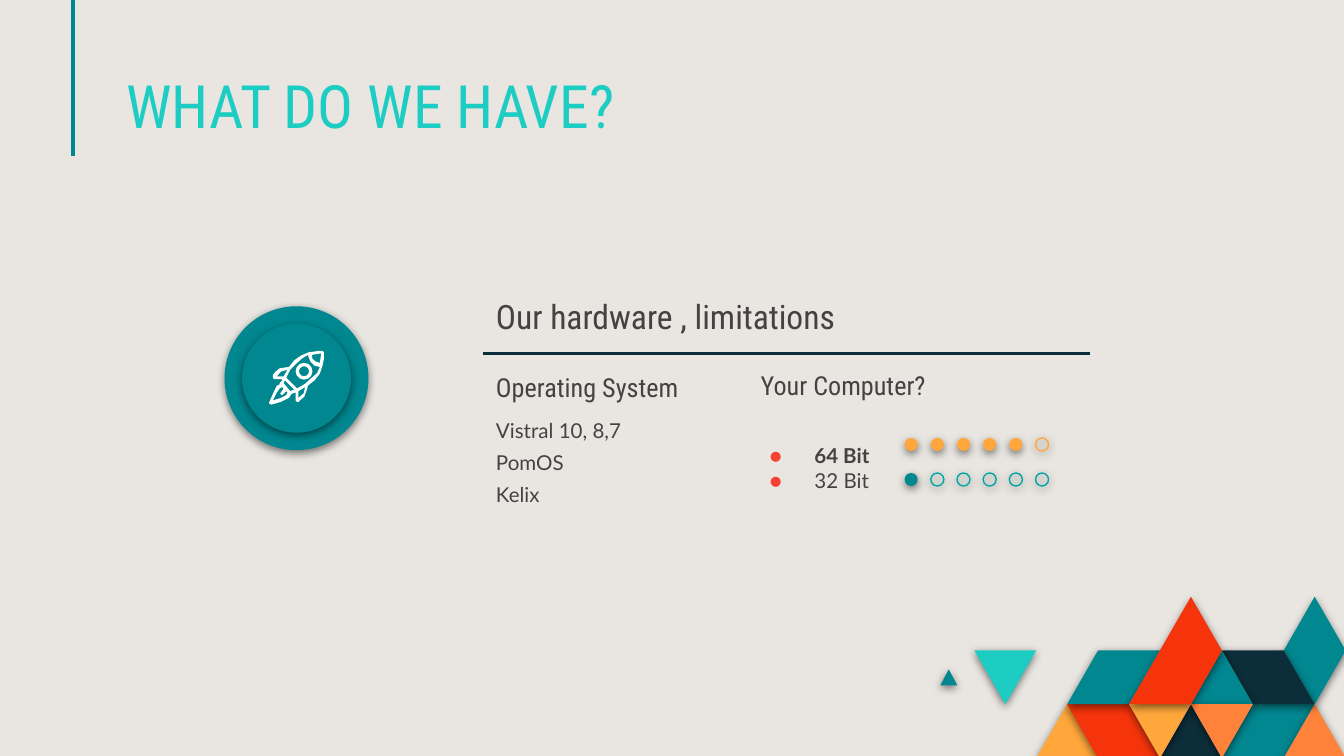
from lxml import etree
from pptx import Presentation
from pptx.dml.color import RGBColor
from pptx.enum.shapes import MSO_CONNECTOR, MSO_SHAPE
from pptx.enum.text import MSO_ANCHOR
from pptx.oxml.ns import qn
from pptx.util import Pt

STRAIGHT = MSO_CONNECTOR.STRAIGHT
OVAL, DONUT = MSO_SHAPE.OVAL, MSO_SHAPE.DONUT
TOP, MIDDLE, BOTTOM = MSO_ANCHOR.TOP, MSO_ANCHOR.MIDDLE, MSO_ANCHOR.BOTTOM
HEADING, BODY = "Roboto Condensed", "Lato"
COLORS = {
    "background": "E9E6E1", "teal": "018790", "turquoise": "1DCDC3",
    "sea": "00A6A6", "amber": "FFA73B", "orange": "FF823B",
    "red": "F5340B", "navy": "0C2E3A", "text": "434343",
    "bullet": "F54132", "white": "FFFFFF", "black": "000000",
}
MOSAIC = [
    ("amber", [(2, 3), (3, 2), (4, 3)]),
    ("red", [(3, 2), (5, 2), (6, 3), (4, 3)]),
    ("teal", [(8, 3), (9, 2), (11, 2), (10, 3)]),
    ("orange", [(10, 3), (11, 2), (12, 3)]),
    ("navy", [(6, 3), (7, 2), (8, 3)]),
    ("teal", [(3, 2), (4, 1), (6, 1), (5, 2)]),
    ("teal", [(-1.1, 1.65), (-0.83, 1.35), (-0.55, 1.65)]),
    ("turquoise", [(0, 1), (2, 1), (1, 2)]),
    ("teal", [(10, 1), (11, 0), (12, 1), (11, 2)]),
    ("navy", [(8, 1), (10, 1), (11, 2), (9, 2)]),
    ("teal", [(7, 2), (8, 1), (9, 2)]),
    ("orange", [(7, 2), (9, 2), (8, 3)]),
    ("amber", [(5, 2), (7, 2), (6, 3)]),
    ("red", [(5, 2), (7, 0), (8, 1), (7, 2)]),
]
ROCKET = [
    [(38, 0), (30, 1), (24, 3.5), (19, 7), (15, 12), (8, 13), (5, 15.5), (3, 18),
     (3, 20), (4, 21), (10, 21), (10, 22), (8, 24), (8, 25), (6, 26), (4, 30),
     (0, 39), (2, 40), (9, 38), (15, 35), (17, 32), (20, 31), (20, 37), (21, 38),
     (22, 38), (26.5, 34), (29, 27), (29, 26), (34, 22), (38, 17), (40, 11),
     (41, 6), (41, 1), (40, 0)],
    [(38, 2), (39, 2), (38, 9), (35, 8), (32.5, 6), (32, 3)],
    [(14, 14), (11, 19), (6, 19), (9, 15.5)],
    [(29, 3), (31, 8), (34, 11), (38, 12), (36, 16.5), (32, 20), (27, 24.5),
     (21, 28), (13, 20), (16, 14), (21, 9), (25, 5.5)],
    [(12, 22), (19, 29), (18, 29), (16, 30), (11, 24)],
    [(27, 27), (26, 31.5), (22, 35), (22, 30)],
    [(10, 27), (11, 28), (9, 31), (8.5, 32), (10, 33), (13, 30), (14, 31),
     (13, 33), (9, 35), (3, 37), (6, 31), (8, 28)],
]


def color(name):
    return RGBColor.from_string(COLORS[name])


def style(shape, fill=None, line=None, shadow=False):
    shape.shadow.inherit = False
    if fill:
        shape.fill.solid()
        shape.fill.fore_color.rgb = color(fill)
    else:
        shape.fill.background()
    if line:
        shape.line.color.rgb = color(line)
        shape.line.width = Pt(0.75)
    else:
        shape.line.fill.background()
    if shadow:
        effects = shape._element.spPr.find(qn("a:effectLst"))
        outer = etree.SubElement(effects, qn("a:outerShdw"), blurRad=str(Pt(4.5)),
                                 dist=str(Pt(1.5)), dir="5400000",
                                 algn="bl", rotWithShape="0")
        shade = etree.SubElement(outer, qn("a:srgbClr"), val=COLORS["black"])
        etree.SubElement(shade, qn("a:alpha"), val="50000")


def add_circle(slide, left, top, size, **look):
    shape = slide.shapes.add_shape(OVAL, Pt(left), Pt(top), Pt(size), Pt(size))
    style(shape, **look)


def add_outline(slide, contours, **look):
    contours = [[(Pt(x), Pt(y)) for x, y in contour] for contour in contours]
    builder = slide.shapes.build_freeform(*contours[0][0])
    builder.add_line_segments(contours[0][1:])
    for contour in contours[1:]:
        builder.move_to(*contour[0])
        builder.add_line_segments(contour[1:])
    style(builder.convert_to_shape(), **look)


def add_line(slide, start, end, name, width):
    line = slide.shapes.add_connector(STRAIGHT, *(Pt(v) for v in (*start, *end)))
    line.line.color.rgb = color(name)
    line.line.width = Pt(width)
    etree.SubElement(line._element.spPr, qn("a:effectLst"))


def add_run(paragraph, text, size, font, name="text", bold=False):
    run = paragraph.add_run()
    run.text = text
    run.font.size, run.font.name, run.font.bold = Pt(size), font, bold
    run.font.color.rgb = color(name)


def add_frame(slide, left, top, width, height, anchor):
    box = slide.shapes.add_textbox(Pt(left), Pt(top), Pt(width), Pt(height))
    frame = box.text_frame
    frame.word_wrap = True
    frame.vertical_anchor = anchor
    frame.margin_left = frame.margin_right = Pt(7.2)
    frame.margin_top = frame.margin_bottom = Pt(7.2)
    return frame


def add_label(slide, left, top, width, height, text, size, font, anchor):
    frame = add_frame(slide, left, top, width, height, anchor)
    add_run(frame.paragraphs[0], text, size, font)


def add_mosaic(slide, left, top, width, height):
    step, row = width / 12, height / 3
    for name, cells in MOSAIC:
        points = [(left + x * step, top + y * row) for x, y in cells]
        add_outline(slide, [points], fill=name, shadow=True)


def add_title(slide, left, top, width, height):
    add_line(slide, (38.9, 0), (38.9, 83.5), "teal", 2.25)
    paragraph = add_frame(slide, left, top, width, height, MIDDLE).paragraphs[0]
    add_run(paragraph, "WHAT DO WE HAVE?", 32, HEADING, "turquoise")
    paragraph.add_line_break()
    paragraph.font.size = Pt(32)


def add_rocket_badge(slide, left, top, size):
    rim = 9.4
    add_circle(slide, left, top, size, fill="teal", shadow=True)
    add_circle(slide, left + rim, top + rim, size - 2 * rim, fill="teal", shadow=True)
    x, y, unit = left + 23.7, top + 23.9, 0.72
    contours = [[(x + a * unit, y + b * unit) for a, b in part] for part in ROCKET]
    add_outline(slide, contours, fill="white")
    window = slide.shapes.add_shape(DONUT, Pt(x + 14.4), Pt(y + 6.4), Pt(9), Pt(9))
    window.adjustments[0] = 0.2
    style(window, fill="white")


def add_systems(slide, left, top, width):
    add_label(slide, left, top, width, 28.8, "Operating System", 14, HEADING, BOTTOM)
    for index, system in enumerate(("Vistral 10, 8,7", "PomOS", "Kelix")):
        add_label(slide, left, top + 23.1 + index * 17.2, width, 17.3,
                  system, 11, BODY, TOP)


def add_computer(slide, left, top, width):
    add_label(slide, left, top, width, 28.8, "Your Computer?", 14, HEADING, BOTTOM)
    frame = add_frame(slide, left - 7.2, top + 37.4, width, 28.8, TOP)
    for index, text in enumerate(("64 Bit", "32 Bit")):
        paragraph = frame.add_paragraph() if index else frame.paragraphs[0]
        properties = paragraph._p.get_or_add_pPr()
        properties.set("marL", str(Pt(36)))
        properties.set("indent", str(Pt(-24)))
        tint = etree.SubElement(properties, qn("a:buClr"))
        etree.SubElement(tint, qn("a:srgbClr"), val=COLORS["bullet"])
        etree.SubElement(properties, qn("a:buFont"), typeface=BODY)
        etree.SubElement(properties, qn("a:buChar"), char="●")
        add_run(paragraph, text, 11, BODY, bold=index == 0)
    ratings = ((41.7, 5, "amber", "amber"), (60.5, 1, "teal", "sea"))
    for offset, score, full, empty in ratings:
        for index in range(6):
            look = {"fill": full} if index < score else {"line": empty}
            add_circle(slide, left + 84.2 + index * 14.03, top + offset, 7,
                       shadow=True, **look)


def add_hardware(slide, left, top, width):
    add_label(slide, left, top, 243.4, 45.4, "Our hardware , limitations",
              18, HEADING, BOTTOM)
    add_line(slide, (left, top + 47.5), (left + width, top + 47.5), "navy", 1.5)
    add_systems(slide, left, top + 52.5, 154.8)
    add_computer(slide, left + 141.8, top + 51.1, 154.8)


def main():
    presentation = Presentation()
    presentation.slide_width, presentation.slide_height = Pt(720), Pt(405)
    slide = presentation.slides.add_slide(presentation.slide_layouts[6])
    slide.background.fill.solid()
    slide.background.fill.fore_color.rgb = color("background")
    add_mosaic(slide, 522, 319.7, 198.9, 86.4)
    add_title(slide, 60.7, 52.5, 637.2, 45.4)
    add_rocket_badge(slide, 120.3, 164.1, 77.1)
    add_hardware(slide, 258.6, 141.8, 325.4)
    presentation.save("out.pptx")


if __name__ == "__main__":
    main()
